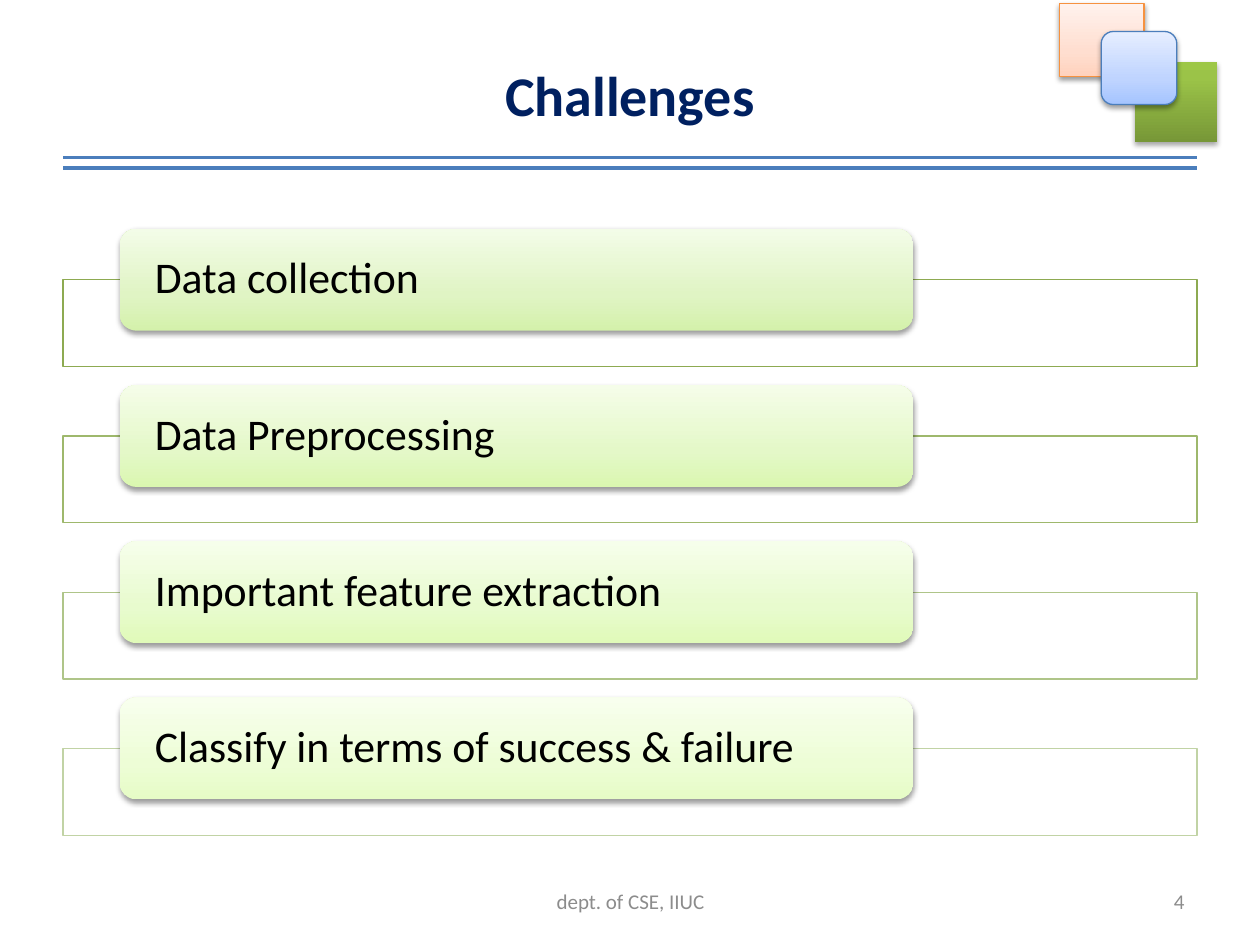
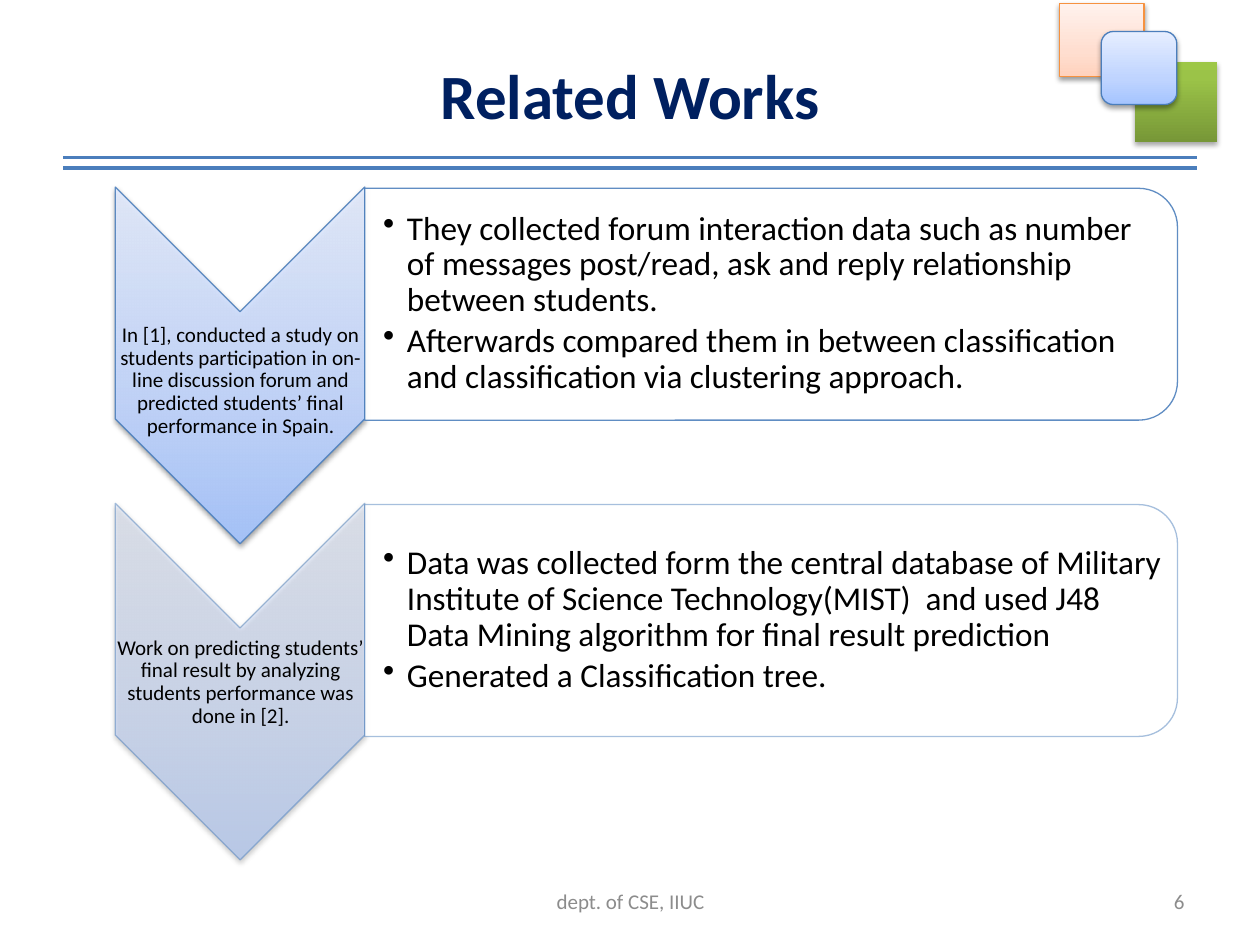
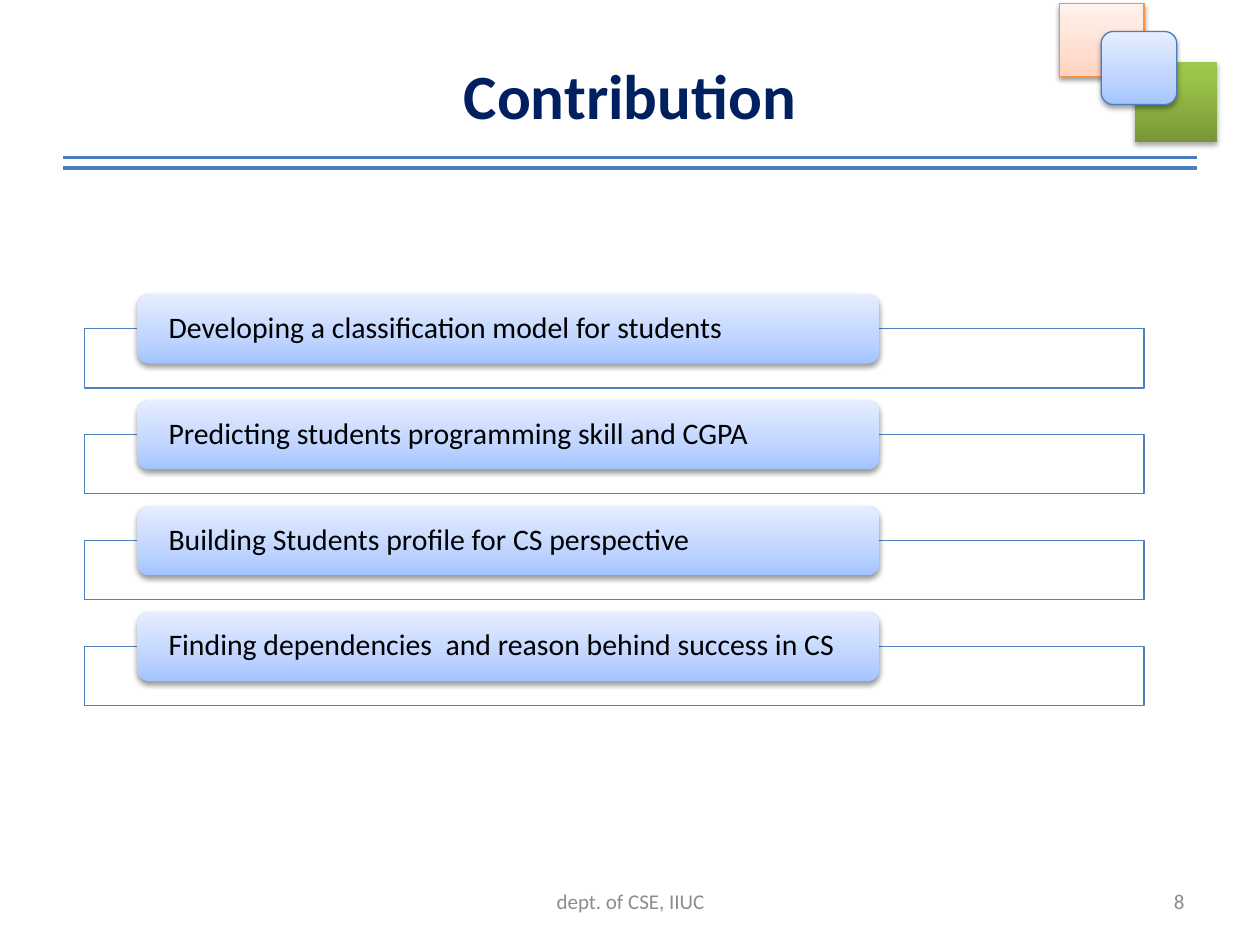
from dataclasses import dataclass, field
from typing import Any, Optional

import lxml.etree
import pptx
import pptx.dml.color
import pptx.enum.shapes
import pptx.enum.text
import pptx.oxml.ns
import pptx.util

Inches = pptx.util.Inches
Pt = pptx.util.Pt
RGB = pptx.dml.color.RGBColor.from_string
SHAPE = pptx.enum.shapes.MSO_SHAPE
ALIGN = pptx.enum.text.PP_ALIGN
ANCHOR = pptx.enum.text.MSO_ANCHOR

Stops = tuple[tuple[int, str], ...]


@dataclass(frozen=True)
class Theme:
    font: str = "Calibri"
    navy: str = "002060"
    gray: str = "8C8C8C"
    black: str = "000000"
    white: str = "FFFFFF"
    rule: str = "4B7EBC"
    blue: str = "4F81BD"
    orange: str = "F69240"
    blue_fade: Stops = ((0, "A4C4FF"), (35, "BFD4FF"), (100, "E6EEFF"))
    peach_fade: Stops = ((0, "FFD2BD"), (35, "FFDED0"), (100, "FFF2ED"))
    green_fade: Stops = ((0, "779737"), (80, "9BC348"), (100, "9DC746"))
    footer_size: float = 12
    caption_size: float = 12
    bullet_size: float = 19
    hairline: float = 0.75
    rule_width: float = 2.25


THEME = Theme()


@dataclass(frozen=True)
class Box:
    left: float
    top: float
    width: float
    height: float

    def emu(self) -> list[int]:
        return [Inches(v) for v in (self.left, self.top, self.width, self.height)]

    def down(self, distance: float) -> "Box":
        return Box(self.left, self.top + distance, self.width, self.height)


@dataclass(frozen=True)
class Style:
    fill: Any
    line: Optional[str] = None
    fill_alpha: int = 100
    line_alpha: int = 100
    shadow: Optional[int] = None
    rotation: int = 0


@dataclass(frozen=True)
class Text:
    size: float
    color: str = THEME.black
    bold: bool = False
    align: Any = ALIGN.LEFT
    insets: tuple[float, float, float, float] = (0.1, 0.05, 0.1, 0.05)
    paragraph: dict[str, Any] = field(default_factory=dict)
    indent: float = 0


@dataclass(frozen=True)
class Band:
    label: str
    outline: str
    fade: Stops


@dataclass(frozen=True)
class BandList:
    frame: Box
    pitch: float
    tab_height: float
    inset: float
    size: float


@dataclass(frozen=True)
class Work:
    caption: str
    points: tuple[str, ...]
    alpha: int
    caption_shift: float = 0


def add_child(parent: Any, tag: str, **attrs: Any) -> Any:
    return lxml.etree.SubElement(
        parent, pptx.oxml.ns.qn(tag), {k: str(v) for k, v in attrs.items()}
    )


def add_color(parent: Any, color: str, alpha: int) -> None:
    clr = add_child(parent, "a:srgbClr", val=color)
    if alpha < 100:
        add_child(clr, "a:alpha", val=alpha * 1000)


def set_fade(sp: Any, stops: Stops, alpha: int) -> None:
    sp.fill.gradient()
    sp.fill.gradient_angle = 90
    grad = sp._element.spPr.find(pptx.oxml.ns.qn("a:gradFill"))
    grad.set("rotWithShape", "0")
    stop_list = grad.find(pptx.oxml.ns.qn("a:gsLst"))
    for old in list(stop_list):
        stop_list.remove(old)
    for position, color in stops:
        add_color(add_child(stop_list, "a:gs", pos=position * 1000), color, alpha)


def set_alpha(parent: Any, alpha: int) -> None:
    if alpha < 100:
        clr = parent.find(".//" + pptx.oxml.ns.qn("a:srgbClr"))
        add_child(clr, "a:alpha", val=alpha * 1000)


def add_shape(s: Any, kind: Any, box: Box, style: Style) -> Any:
    sp = s.shapes.add_shape(kind, *box.emu())
    sp.rotation = style.rotation
    sp.shadow.inherit = False
    spPr = sp._element.spPr
    if isinstance(style.fill, str):
        sp.fill.solid()
        sp.fill.fore_color.rgb = RGB(style.fill)
        set_alpha(spPr.find(pptx.oxml.ns.qn("a:solidFill")), style.fill_alpha)
    else:
        set_fade(sp, style.fill, style.fill_alpha)
    if style.line:
        sp.line.color.rgb = RGB(style.line)
        sp.line.width = Pt(THEME.hairline)
        set_alpha(spPr.find(pptx.oxml.ns.qn("a:ln")), style.line_alpha)
    else:
        sp.line.fill.background()
    if style.shadow:
        shade = add_child(
            spPr.find(pptx.oxml.ns.qn("a:effectLst")), "a:outerShdw",
            blurRad=Pt(3.1), dist=Pt(1.6), dir=5400000, rotWithShape=0,
        )
        add_color(shade, THEME.black, style.shadow)
    return sp


def write(sp: Any, lines: tuple[str, ...], text: Text) -> None:
    tf = sp.text_frame
    left, top, right, bottom = (Inches(v) for v in text.insets)
    frame_format = {
        "word_wrap": True, "vertical_anchor": ANCHOR.MIDDLE,
        "margin_left": left, "margin_top": top,
        "margin_right": right, "margin_bottom": bottom,
    }
    for name, value in frame_format.items():
        setattr(tf, name, value)
    font_format = {"name": THEME.font, "size": Pt(text.size), "bold": text.bold}
    for i, line in enumerate(lines):
        p = tf.add_paragraph() if i else tf.paragraphs[0]
        if text.indent:
            pPr = p._p.get_or_add_pPr()
            pPr.set("marL", str(Inches(text.indent)))
            pPr.set("indent", str(-Inches(text.indent)))
            add_child(pPr, "a:buChar", char="•")
        for name, value in {"alignment": text.align, **text.paragraph}.items():
            setattr(p, name, value)
        r = p.add_run()
        r.text = line
        for name, value in font_format.items():
            setattr(r.font, name, value)
        r.font.color.rgb = RGB(text.color)


def add_text(s: Any, box: Box, lines: tuple[str, ...], text: Text) -> None:
    write(s.shapes.add_textbox(*box.emu()), lines, text)


def add_rule(s: Any, y: float) -> None:
    cn = s.shapes.add_connector(
        pptx.enum.shapes.MSO_CONNECTOR.STRAIGHT,
        Inches(0.5), Inches(y), Inches(9.5), Inches(y),
    )
    cn.line.color.rgb = RGB(THEME.rule)
    cn.line.width = Pt(THEME.rule_width)
    add_child(cn._element.spPr, "a:effectLst")


ORNAMENT = (
    (SHAPE.RECTANGLE, Box(8.41, 0.03, 0.67, 0.58),
     Style(THEME.peach_fade, THEME.orange, shadow=38)),
    (SHAPE.RECTANGLE, Box(9.01, 0.49, 0.65, 0.64),
     Style(THEME.green_fade, shadow=35)),
    (SHAPE.ROUNDED_RECTANGLE, Box(8.74, 0.25, 0.6, 0.58),
     Style(THEME.blue_fade, THEME.rule, shadow=38)),
)


def add_slide(prs: Any, title: str, number: int, title_size: float = 36) -> Any:
    s = prs.slides.add_slide(prs.slide_layouts[6])
    add_text(s, Box(0.5, 0.12, 9, 1.25), (title,),
             Text(title_size, THEME.navy, True, ALIGN.CENTER))
    for y in (1.25, 1.33):
        add_rule(s, y)
    for kind, box, style in ORNAMENT:
        add_shape(s, kind, box, style)
    add_text(s, Box(3.42, 6.95, 3.17, 0.4), ("dept. of CSE, IIUC",),
             Text(THEME.footer_size, THEME.gray, align=ALIGN.CENTER))
    add_text(s, Box(7.17, 6.95, 2.33, 0.4), (str(number),),
             Text(THEME.footer_size, THEME.gray, align=ALIGN.RIGHT))
    return s


def add_bands(s: Any, layout: BandList, bands: list[Band]) -> None:
    text = Text(layout.size, insets=(layout.inset, 0, layout.inset, 0),
                paragraph={"line_spacing": 0.9})
    for i, band in enumerate(bands):
        frame = layout.frame.down(i * layout.pitch)
        add_shape(s, SHAPE.RECTANGLE, frame,
                  Style(THEME.white, band.outline, fill_alpha=90))
        tab = Box(frame.left + 0.05 * frame.width, frame.top - layout.tab_height / 2,
                  0.7 * frame.width, layout.tab_height)
        sp = add_shape(s, SHAPE.ROUNDED_RECTANGLE, tab, Style(band.fade, shadow=38))
        write(sp, (band.label,), text)


def add_works(s: Any, works: list[Work], pitch: float) -> None:
    caption = Text(THEME.caption_size, align=ALIGN.CENTER, insets=(0.01,) * 4,
                   paragraph={"line_spacing": 0.9})
    points = Text(THEME.bullet_size, insets=(0.15, 0.01, 0.01, 0.01), indent=0.19,
                  paragraph={"line_spacing": 0.9, "space_after": Pt(2.85)})
    for i, work in enumerate(works):
        y = i * pitch
        add_shape(s, SHAPE.CHEVRON, Box(0.49, 1.91, 2.83, 1.98).down(y),
                  Style(THEME.blue_fade, THEME.blue, work.alpha, work.alpha, 38, 90))
        add_text(s, Box(0.92, 2.48, 1.98, 0.85).down(y + work.caption_shift),
                 (work.caption,), caption)
        add_shape(s, SHAPE.ROUND_2_SAME_RECTANGLE, Box(5.2, -0.81, 1.84, 6.45).down(y),
                  Style(THEME.white, THEME.blue, 90, work.alpha, rotation=90))
        add_text(s, Box(2.89, 1.58, 6.36, 1.66).down(y), work.points, points)


CHALLENGES = [
    Band("Data collection", "8DAA51",
         ((0, "D4F1AB"), (35, "E0F4C4"), (100, "F3FCE8"))),
    Band("Data Preprocessing", "9EB86C",
         ((0, "DAF7B0"), (35, "E4F8C8"), (100, "F5FDE9"))),
    Band("Important feature extraction", "AFC589",
         ((0, "E0FAB9"), (35, "E8FBCE"), (100, "F6FEEB"))),
    Band("Classify in terms of success & failure", "C1D3A5",
         ((0, "E6FCC6"), (35, "EDFDD6"), (100, "F8FFEE"))),
]

WORKS = [
    Work(
        "In [1], conducted a study on students participation in on-line discussion "
        "forum and predicted students’ final performance in Spain.",
        ("They collected forum interaction data such as number of messages post/read, "
         "ask and reply relationship between students.",
         "Afterwards compared them in between classification and classification via "
         "clustering approach."),
        alpha=90, caption_shift=0.12,
    ),
    Work(
        "Work on predicting students’ final result by analyzing students performance "
        "was done in [2].",
        ("Data was collected form the central database of Military Institute of Science "
         "Technology(MIST)  and used J48 Data Mining algorithm for final result "
         "prediction",
         "Generated a Classification tree."),
        alpha=50,
    ),
]

CONTRIBUTIONS = [
    Band(label, THEME.blue, THEME.blue_fade)
    for label in (
        "Developing a classification model for students",
        "Predicting students programming skill and CGPA",
        "Building Students profile for CS perspective",
        "Finding dependencies  and reason behind success in CS",
    )
]


def main() -> None:
    prs = pptx.Presentation()
    prs.slide_width, prs.slide_height = Inches(10), Inches(7.5)
    s = add_slide(prs, "Challenges", 4, title_size=32)
    add_bands(s, BandList(Box(0.5, 2.22, 9, 0.69), 1.24, 0.81, 0.24, 25), CHALLENGES)
    s = add_slide(prs, "Related Works", 6)
    add_works(s, WORKS, pitch=2.51)
    s = add_slide(prs, "Contribution", 8)
    add_bands(s, BandList(Box(0.67, 2.61, 8.41, 0.47), 0.84, 0.55, 0.22, 17),
              CONTRIBUTIONS)
    prs.save("out.pptx")


if __name__ == "__main__":
    main()
